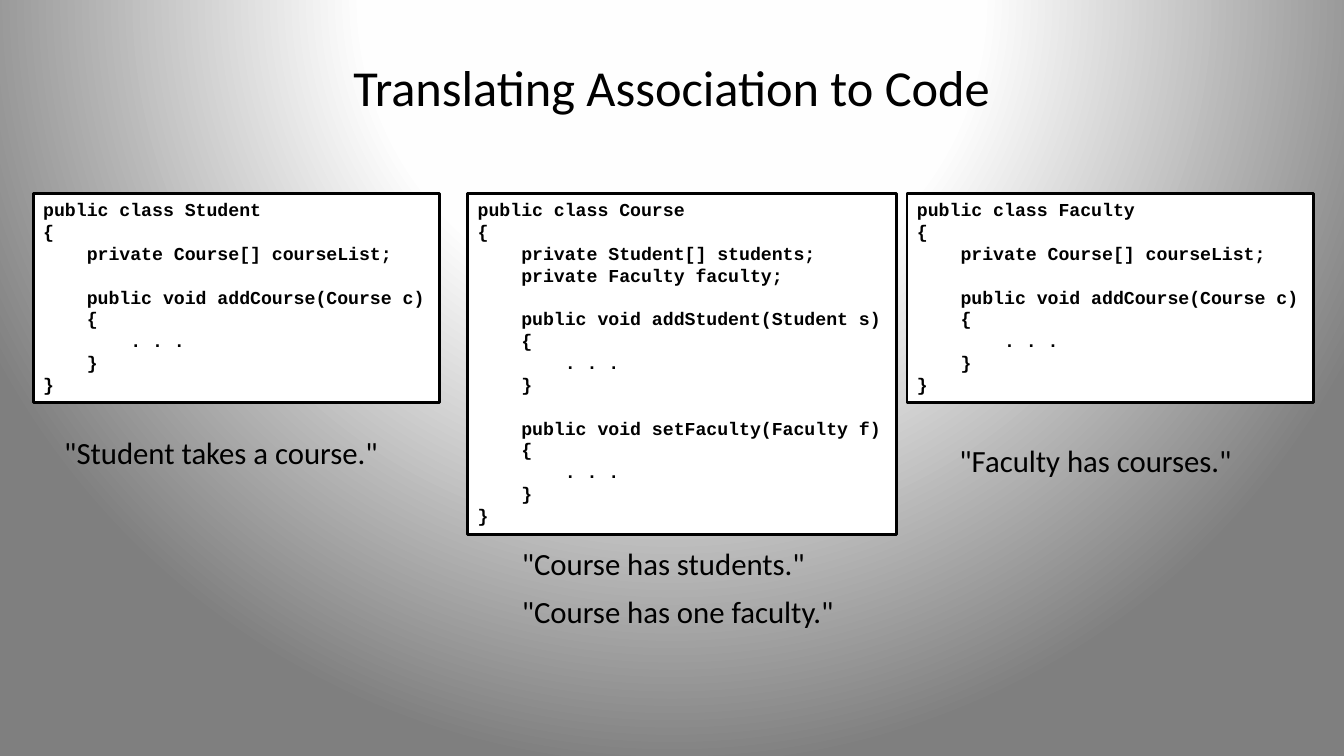
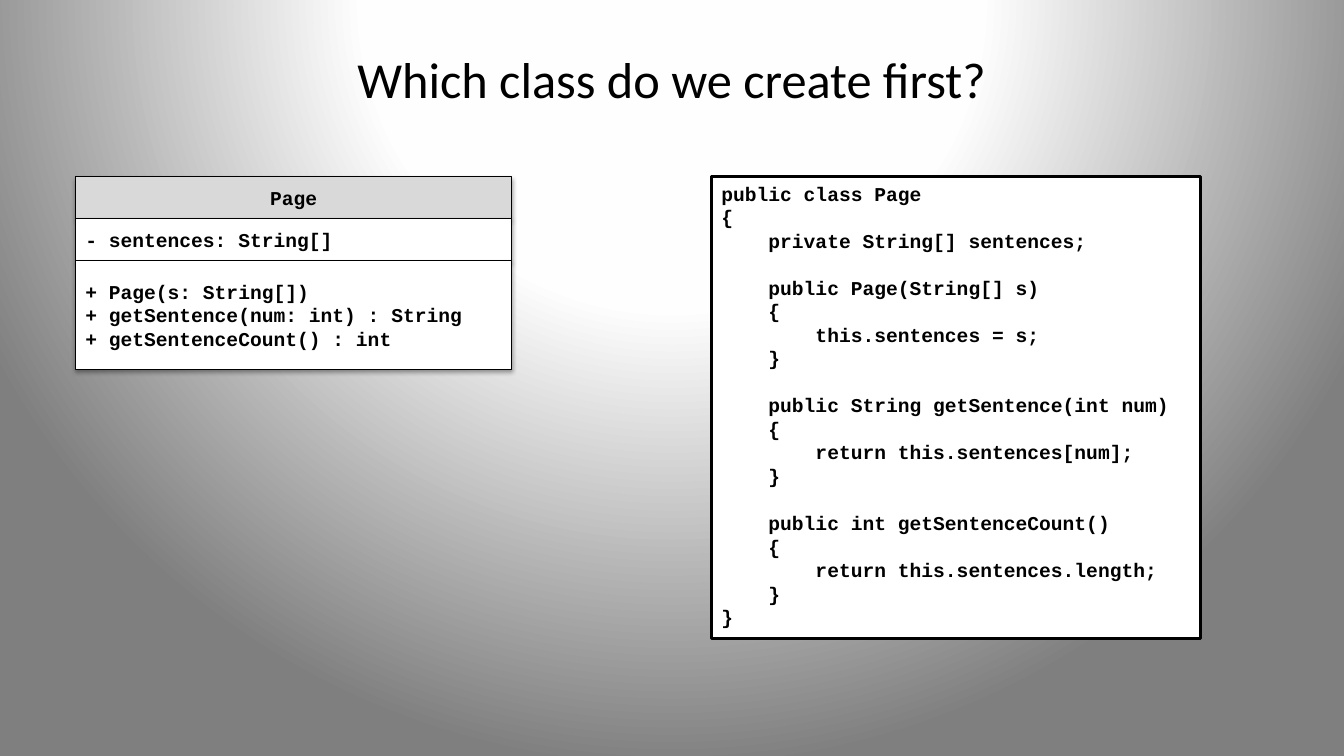
import pptx
import pptx.dml.color
import pptx.enum.shapes
import pptx.enum.text
import pptx.oxml
import pptx.oxml.ns
import pptx.util

Cm = pptx.util.Cm
Pt = pptx.util.Pt
RGB = pptx.dml.color.RGBColor
ALIGN = pptx.enum.text.PP_ALIGN
ANCHOR = pptx.enum.text.MSO_ANCHOR
RECT = pptx.enum.shapes.MSO_SHAPE.RECTANGLE

BLACK = RGB(0x00, 0x00, 0x00)
WHITE = RGB(0xFF, 0xFF, 0xFF)
PALE = RGB(0xD9, 0xD9, 0xD9)
CLOUD = RGB(0xFE, 0xFE, 0xFE)
GREY = RGB(0x7F, 0x7F, 0x7F)
SANS = "Calibri"
MONO = "Courier New"

STUDENT = """public class Student
{
    private Course[] courseList;

    public void addCourse(Course c)
    {
        . . .
    }
}"""
FACULTY = STUDENT.replace("Student", "Faculty")

COURSE = """public class Course
{
    private Student[] students;
    private Faculty faculty;

    public void addStudent(Student s)
    {
        . . .
    }

    public void setFaculty(Faculty f)
    {
        . . .
    }
}"""

PAGE = """public class Page
{
    private String[] sentences;

    public Page(String[] s)
    {
        this.sentences = s;
    }

    public String getSentence(int num)
    {
        return this.sentences[num];
    }

    public int getSentenceCount()
    {
        return this.sentences.length;
    }
}"""


class Deck:
    """Holds the shared style and the slide being filled."""

    def __init__(self):
        self.prs = pptx.Presentation()
        self.prs.slide_width = Cm(33.87)
        self.prs.slide_height = Cm(19.05)
        self.slide = None
        self.glow()

    def glow(self):
        """Give the master a circular gradient centred above the slide."""
        master = self.prs.slide_master
        master.background.fill.solid()
        frame = master.element.find(".//" + pptx.oxml.ns.qn("p:bgPr"))
        stops = "".join(
            f'<a:gs pos="{pos * 1000}"><a:srgbClr val="{color}"/></a:gs>'
            for pos, color in ((0, WHITE), (40, CLOUD), (100, GREY)))
        frame.replace(frame[0], pptx.oxml.parse_xml(
            f'<a:gradFill {pptx.oxml.ns.nsdecls("a")} rotWithShape="1">'
            f'<a:gsLst>{stops}</a:gsLst><a:path path="circle">'
            '<a:fillToRect l="50000" t="-80000" r="50000" b="180000"/>'
            '</a:path></a:gradFill>'))

    def label(self, shape, text, font, size, bold=False, align=ALIGN.LEFT,
              anchor=ANCHOR.TOP, pitch=None):
        """Set the text of a shape, one paragraph a line."""
        frame = shape.text_frame
        frame.word_wrap = True
        frame.auto_size = pptx.enum.text.MSO_AUTO_SIZE.NONE
        frame.vertical_anchor = anchor
        for i, line in enumerate(text.split("\n")):
            para = frame.add_paragraph() if i else frame.paragraphs[0]
            para.alignment = align
            if pitch:
                para.line_spacing = Pt(pitch)
            if line:
                run = para.add_run()
                run.text = line
                run.font.name = font
                run.font.size = Pt(size)
                run.font.bold = bold
                run.font.color.rgb = BLACK

    def start(self, title, height):
        """Start a title-only slide; height is that of its title."""
        self.slide = self.prs.slides.add_slide(self.prs.slide_layouts[5])
        shape = self.slide.shapes.title
        shape.left, shape.top = Cm(1.69), Cm(0.76)
        shape.width, shape.height = Cm(30.48), Cm(height)
        self.label(shape, title, SANS, 36, align=ALIGN.CENTER,
                   anchor=ANCHOR.MIDDLE)

    def box(self, shapes, left, top, width, height, fill, line):
        shape = shapes.add_shape(
            RECT, Cm(left), Cm(top), Cm(width), Cm(height))
        shape.shadow.inherit = False
        shape.fill.solid()
        shape.fill.fore_color.rgb = fill
        shape.line.color.rgb = BLACK
        shape.line.width = Pt(line)
        return shape

    def source(self, text, left, top, width, height, size):
        """Show program code in a framed box."""
        shape = self.box(self.slide.shapes, left, top, width, height, WHITE, 2)
        self.label(shape, text, MONO, size, bold=True, pitch=size * 1.2)

    def quote(self, text, left, top, width):
        shape = self.slide.shapes.add_textbox(
            Cm(left), Cm(top), Cm(width), Cm(1.19))
        self.label(shape, text, SANS, 22)

    def shade(self, shape):
        """Add a soft shadow just below the shape."""
        effects = shape.element.spPr.find(pptx.oxml.ns.qn("a:effectLst"))
        effects.append(pptx.oxml.parse_xml(
            f'<a:outerShdw {pptx.oxml.ns.nsdecls("a")} blurRad="{Pt(3.1)}" '
            f'dist="{Pt(1.8)}" dir="5400000" rotWithShape="0">'
            f'<a:srgbClr val="{BLACK}"><a:alpha val="35000"/></a:srgbClr>'
            '</a:outerShdw>'))

    def uml(self, name, fields, methods, left, top, width):
        """Draw a class diagram of three stacked parts."""
        group = self.slide.shapes.add_group_shape()
        parts = ((name, 1.06, PALE, ALIGN.CENTER),
                 (fields, 1.06, WHITE, ALIGN.LEFT),
                 (methods, 2.74, WHITE, ALIGN.LEFT))
        for text, height, fill, align in parts:
            shape = self.box(group.shapes, left, top, width, height, fill, 0.75)
            self.shade(shape)
            self.label(shape, text, MONO, 14, bold=True, align=align,
                       anchor=ANCHOR.MIDDLE, pitch=16.8)
            top += height


def main():
    deck = Deck()

    deck.start("Translating Association to Code", 2.84)
    top = 4.88
    deck.source(STUDENT, 0.84, top, 10.24, 5.26, 13)
    deck.source(COURSE, 11.79, top, 10.8, 8.59, 13)
    deck.source(FACULTY, 22.86, top, 10.24, 5.26, 13)
    deck.quote('"Student takes a course."', 1.37, 10.8, 8.59)
    deck.quote('"Course has students."', 12.9, 13.61, 7.8)
    deck.quote('"Course has one faculty."', 12.9, 14.81, 8.59)
    deck.quote('"Faculty has courses."', 23.93, 11, 7.52)

    deck.start("Which class do we create first?", 2.41)
    top = 4.45
    deck.uml("Page", "- sentences: String[]",
             "+ Page(s: String[])\n"
             "+ getSentence(num: int) : String\n"
             "+ getSentenceCount() : int", 1.9, top, 11)
    deck.source(PAGE, 17.93, top, 12.32, 11.64, 14)

    deck.prs.save("out.pptx")


if __name__ == "__main__":
    main()
